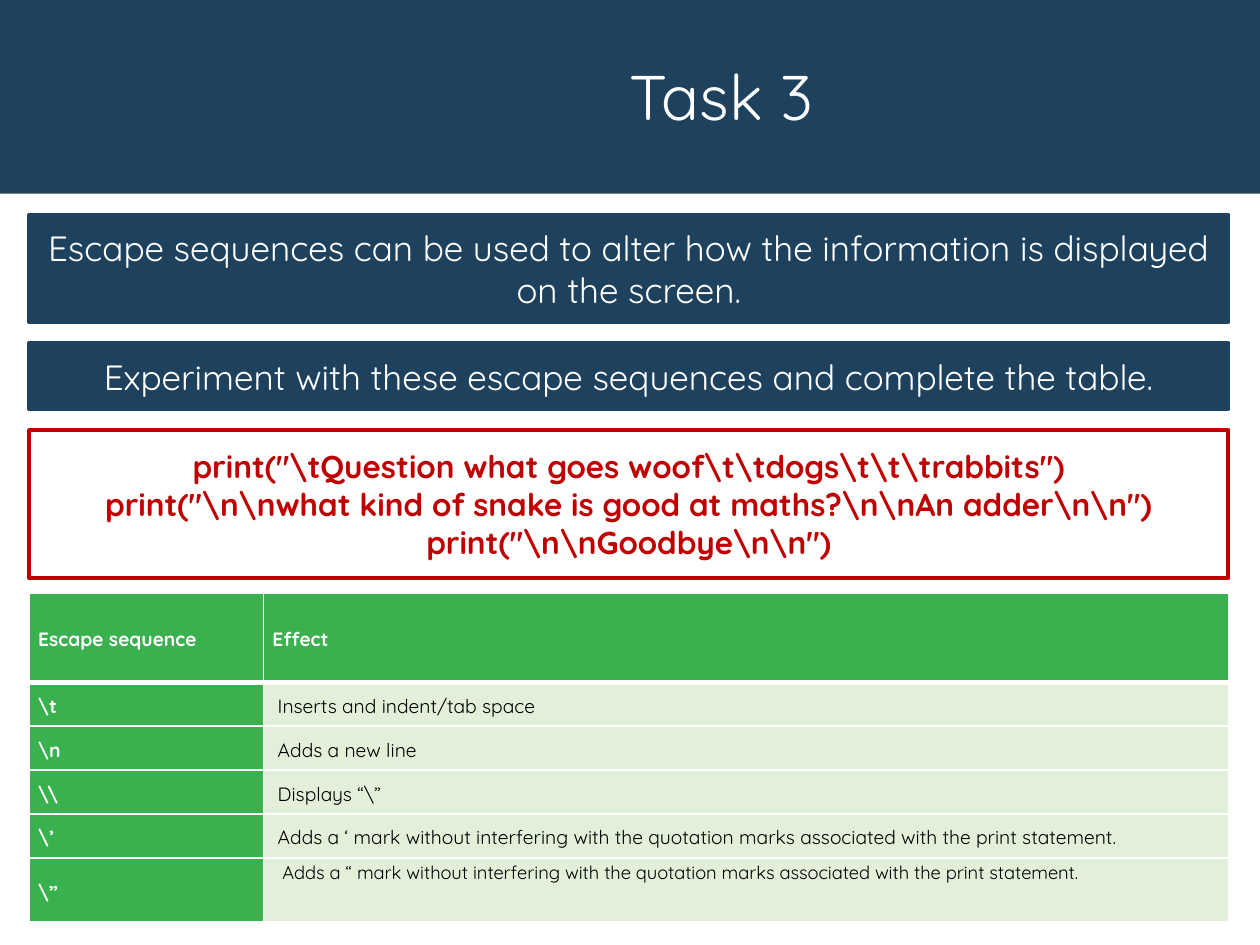
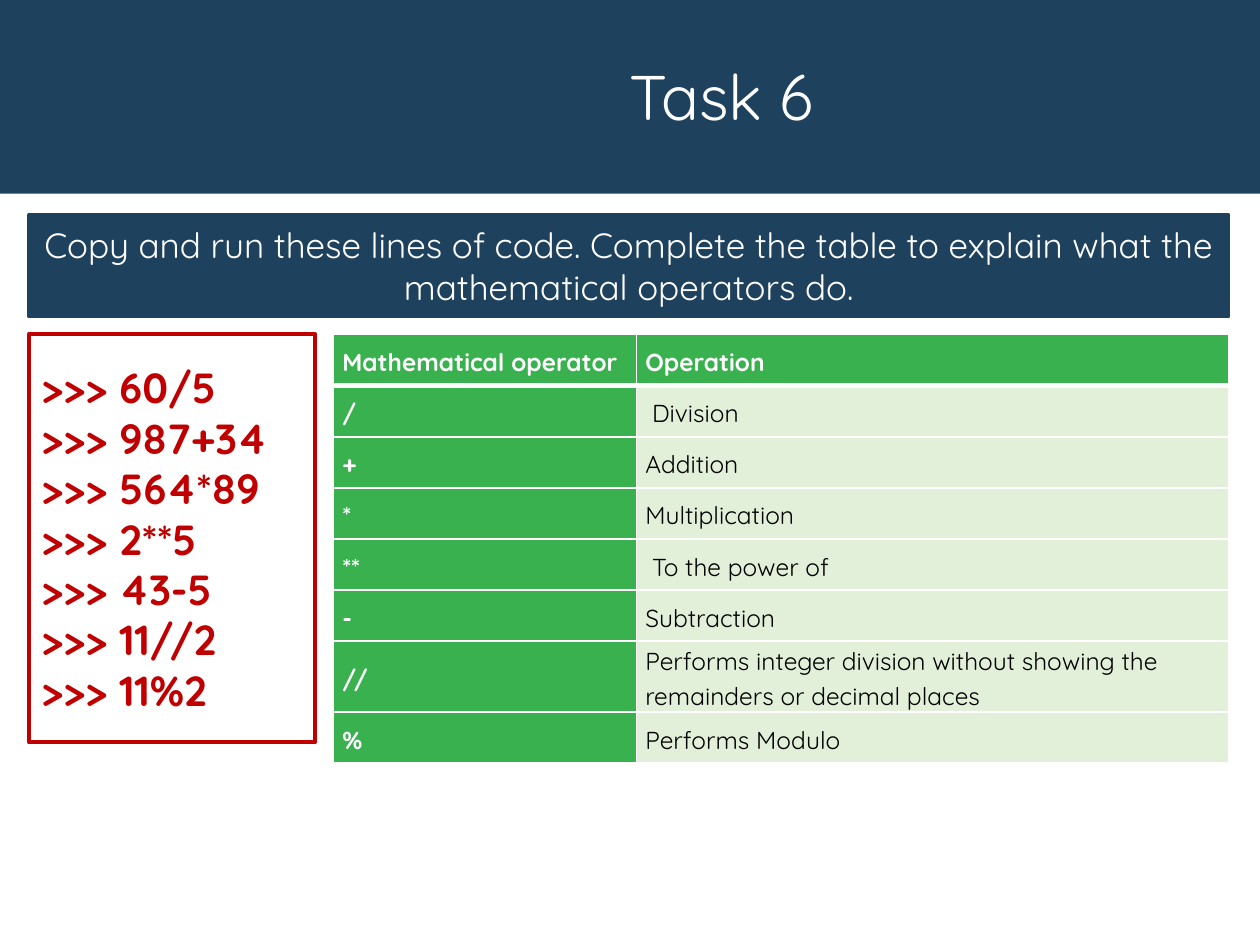
from pptx import Presentation
from pptx import util as u
from pptx.dml import color
from pptx.enum import shapes, text
from pptx.oxml import ns
from lxml import etree

Pt = u.Pt
FONT = "Quicksand"
NAVY, RED, GREEN, PALE = "1E415E", "C00000", "39B14F", "E2F0D9"
WHITE, BLACK = "FFFFFF", "000000"
LEFT, WIDTH = 16.6, 685.4
TITLE_BOX = (104.4, 17.3, 615.6, 79.9)
CENTER, START = text.PP_ALIGN.CENTER, text.PP_ALIGN.LEFT
MIDDLE, TOP = text.MSO_ANCHOR.MIDDLE, text.MSO_ANCHOR.TOP


def rgb(hex_value):
    return color.RGBColor.from_string(hex_value)


def points(box):
    return [Pt(length) for length in box]


def write(frame, lines, size, hue, bold=False, align=START, anchor=MIDDLE):
    frame.word_wrap = True
    frame.vertical_anchor = anchor
    frame.text = "\n".join(lines)
    for paragraph in frame.paragraphs:
        paragraph.alignment = align
        for run in paragraph.runs:
            run.font.name = FONT
            run.font.size = Pt(size)
            run.font.bold = bold
            run.font.color.rgb = rgb(hue)


def panel(slide, box, fill=None, line=None):
    rect = slide.shapes.add_shape(shapes.MSO_SHAPE.RECTANGLE, *points(box))
    rect.shadow.inherit = False
    if fill:
        rect.fill.solid()
        rect.fill.fore_color.rgb = rgb(fill)
    else:
        rect.fill.background()
    if line:
        rect.line.color.rgb = rgb(line)
        rect.line.width = Pt(2.25)
    else:
        rect.line.fill.background()
    return rect.text_frame


def instruction(slide, box, sentence):
    write(panel(slide, box, NAVY, NAVY), [sentence], 20, WHITE, align=CENTER)


def code_box(slide, box, lines, size, align):
    write(panel(slide, box, line=RED), lines, size, RED, True, align)


def task_slide(deck, title):
    slide = deck.slides.add_slide(deck.slide_layouts[6])
    # Title band
    panel(slide, (0, 0, 720, 110.7), NAVY)
    heading = slide.shapes.add_textbox(*points(TITLE_BOX)).text_frame
    write(heading, [title], 36, WHITE, align=CENTER)
    heading.paragraphs[0].line_spacing = 0.9
    return slide


def add_borders(cell, bottom):
    properties = cell._tc.get_or_add_tcPr()
    for side, width in (("L", 1), ("R", 1), ("T", 1), ("B", bottom)):
        edge = etree.SubElement(properties, ns.qn("a:ln" + side), w=str(Pt(width)))
        solid = etree.SubElement(edge, ns.qn("a:solidFill"))
        etree.SubElement(solid, ns.qn("a:srgbClr"), val=WHITE)


def answer_table(slide, box, columns, heights, rows, size):
    """Green header row and key column, pale answers."""
    grid = slide.shapes.add_table(len(rows), len(columns), *points(box)).table
    for column, width in zip(grid.columns, columns):
        column.width = Pt(width)
    for row, height in zip(grid.rows, heights):
        row.height = Pt(height)
    for r, entries in enumerate(rows):
        for c, entry in enumerate(entries):
            cell = grid.cell(r, c)
            key = r == 0 or c == 0
            add_borders(cell, 3 if r == 0 else 1)
            cell.fill.solid()
            cell.fill.fore_color.rgb = rgb(GREEN if key else PALE)
            cell.margin_left = cell.margin_right = Pt(5.2)
            cell.margin_top = cell.margin_bottom = 0
            write(cell.text_frame, [entry], size, WHITE if key else BLACK, key)
            cell.vertical_anchor = MIDDLE
            paragraph = cell.text_frame.paragraphs[0]
            paragraph.line_spacing = 1.15
            paragraph.space_before = paragraph.space_after = Pt(6)
    return grid


def escape_slide(deck):
    slide = task_slide(deck, "Task 3")
    # Instructions
    instruction(slide, (LEFT, 122.7, WIDTH, 61.2),
                "Escape sequences can be used to alter how the information "
                "is displayed on the screen.")
    instruction(slide, (LEFT, 196, WIDTH, 37.8),
                "Experiment with these escape sequences and complete the table.")
    # Code to try
    code_box(slide, (LEFT, 245.8, WIDTH, 84.6), [
        r'print("\tQuestion what goes woof\t\tdogs\t\t\trabbits")',
        r'print("\n\nwhat kind of snake is good at maths?\n\nAn adder\n\n")',
        r'print("\n\nGoodbye\n\n")'], 18, CENTER)
    # Effects
    quoting = ("mark without interfering with the quotation marks "
               "associated with the print statement.")
    rows = [
        ("Escape sequence", "Effect"),
        (r"\t", "\u00a0Inserts and indent/tab space"),
        (r"\n", "\u00a0Adds a new line"),
        ("\\\\", "\u00a0Displays “\\”"),
        ("\\’", f"\u00a0Adds a ‘ {quoting}"),
        ("\\”", f"\u00a0\u00a0Adds a “ {quoting}")]
    heights = [51.1] + [25.1] * 4 + [36.7]
    grid = answer_table(slide, (LEFT, 338.8, WIDTH, sum(heights)),
                        (133.9, 551.5), heights, rows, 11)
    double_quote = grid.cell(5, 1)
    double_quote.vertical_anchor = TOP
    double_quote.text_frame.paragraphs[0].runs[0].font.size = Pt(10.5)


def operator_slide(deck):
    slide = task_slide(deck, "Task 6")
    # Instruction
    instruction(slide, (LEFT, 122.7, WIDTH, 58.2),
                "Copy and run these lines of code. Complete the table to "
                "explain what the mathematical operators do.")
    # Code to try
    sums = ("60/5", "987+34", "564*89", "2**5", "43-5", "11//2", "11%2")
    code_box(slide, (LEFT, 190.8, 163.4, 233.5),
             [">>> " + expression for expression in sums], 24, START)
    # Operators
    rows = [
        ("Mathematical operator", "Operation"),
        ("/", "\u00a0Division"),
        ("+", "Addition"),
        ("*", "Multiplication"),
        ("**", "\u00a0To the power of"),
        ("-", "Subtraction"),
        ("//", "Performs integer division without showing the remainders "
               "or decimal places"),
        ("%", "Performs Modulo")]
    heights = [29.2] * 6 + [40.5, 29.2]
    answer_table(slide, (190.4, 191.2, 511.6, sum(heights)),
                 (173.2, 338.4), heights, rows, 14)


deck = Presentation()
deck.slide_width, deck.slide_height = Pt(720), Pt(540)
escape_slide(deck)
operator_slide(deck)
deck.save("out.pptx")
